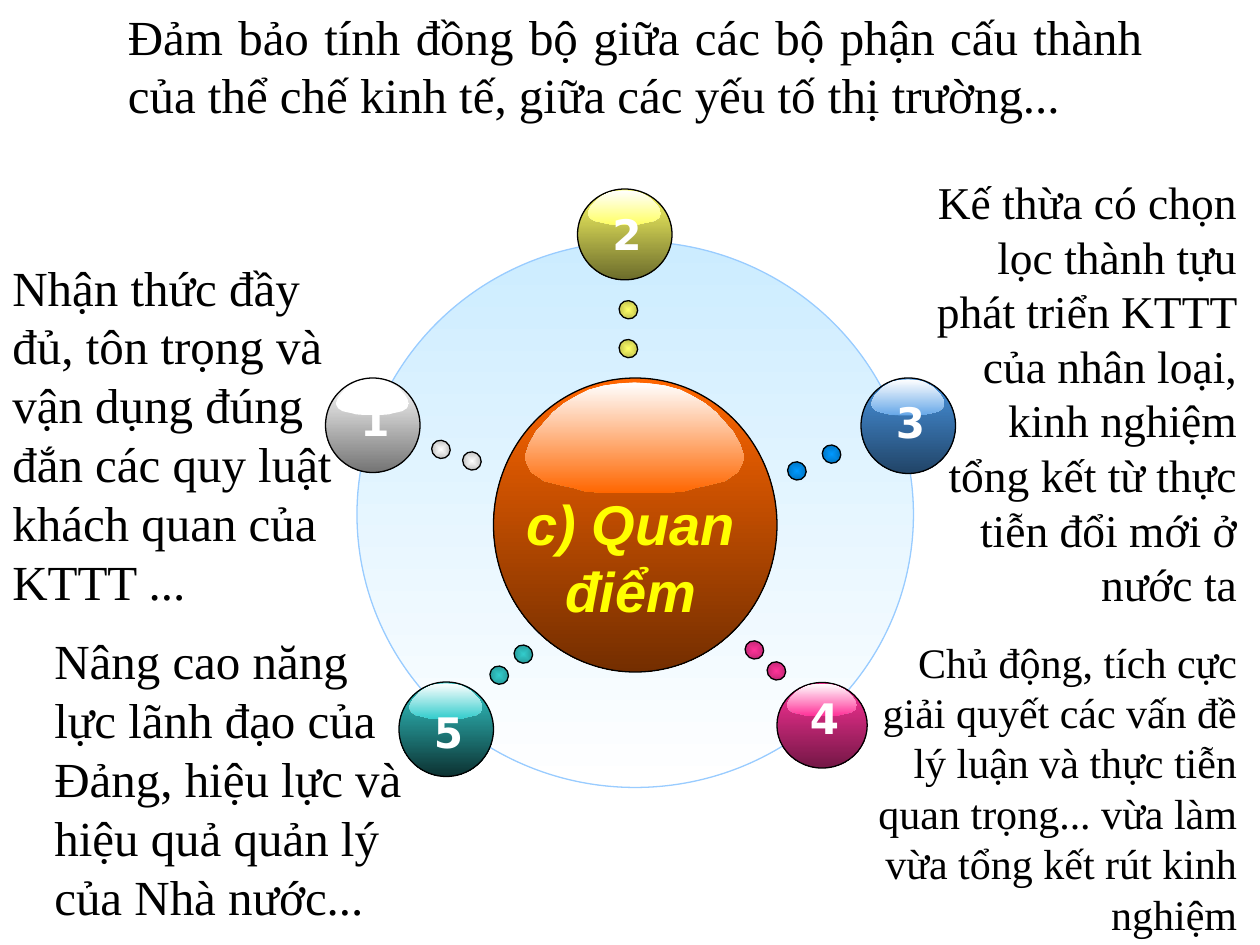
import pptx
import pptx.dml.color
import pptx.enum.shapes
import pptx.enum.text
import pptx.oxml
import pptx.oxml.ns
import pptx.util

COLS, ROWS = 120, 90
ALIGN = {
    "l": pptx.enum.text.PP_ALIGN.LEFT,
    "c": pptx.enum.text.PP_ALIGN.CENTER,
    "r": pptx.enum.text.PP_ALIGN.RIGHT,
    "j": pptx.enum.text.PP_ALIGN.JUSTIFY,
}
GLOSS_HALF = [
    (50, 0), (57, 1), (64, 3), (71, 7), (76, 12), (82, 19), (87, 27), (91, 36),
    (95, 45), (98, 56), (99, 62), (100, 67), (99, 73), (98, 77), (97, 81),
    (94, 85), (91, 89), (87, 91), (83, 93), (78, 95), (73, 98), (68, 99), (60, 100),
]
GLOSS = GLOSS_HALF + [(100 - x, y) for x, y in reversed(GLOSS_HALF[1:])]
RADIAL = (
    f'<a:path {pptx.oxml.ns.nsdecls("a")} path="rect">'
    '<a:fillToRect l="50000" t="50000" r="50000" b="50000"/></a:path>'
)


def color(value):
    """Turn a hex string into a colour."""
    return pptx.dml.color.RGBColor.from_string(value)


def write(tf, text, size=28, font="Times New Roman", fill="000000",
          align="l", bold=False, italic=False):
    """Write text into a frame, one paragraph per line."""
    for i, line in enumerate(text.split("\n")):
        p = tf.paragraphs[0] if i == 0 else tf.add_paragraph()
        p.alignment = ALIGN[align]
        r = p.add_run()
        r.text = line
        r.font.name = font
        r.font.size = pptx.util.Pt(size)
        r.font.bold = bold
        r.font.italic = italic
        r.font.color.rgb = color(fill)


class Diagram:
    """Holds the grid, the line style and the current slide."""

    def __init__(self, prs):
        """Add a blank slide and measure its grid."""
        self.s = prs.slides.add_slide(prs.slide_layouts[6])
        self.col = prs.slide_width / COLS
        self.row = prs.slide_height / ROWS
        self.line_width = pptx.util.Pt(0.75)

    def box(self, x, y, w, h):
        """Convert columns and rows to lengths."""
        return (round(x * self.col), round(y * self.row),
                round(w * self.col), round(h * self.row))

    def paint(self, sp, start, end, line=None, radial=False):
        """Give a shape its gradient and outline."""
        sp.shadow.inherit = False
        sp.fill.gradient()
        for stop, value in zip(sp.fill.gradient_stops, (start, end)):
            stop.color.rgb = color(value)
        sp.fill.gradient_angle = 270
        if radial:
            lin = next(sp.element.iter(pptx.oxml.ns.qn("a:lin")))
            lin.getparent().replace(lin, pptx.oxml.parse_xml(RADIAL))
        if line:
            sp.line.color.rgb = color(line)
            sp.line.width = self.line_width
        else:
            sp.line.fill.background()

    def ellipse(self, x, y, w, h, start, end, line="000000", radial=False):
        """Draw a gradient ellipse."""
        sp = self.s.shapes.add_shape(pptx.enum.shapes.MSO_SHAPE.OVAL, *self.box(x, y, w, h))
        self.paint(sp, start, end, line, radial)
        return sp

    def ball(self, x, y, w, h, start, end, shine):
        """Draw a ball with a gloss near its top."""
        self.ellipse(x, y, w, h, start, end)
        left, top, width, height = self.box(
            x + 0.11 * w, y + 0.015 * h, 0.775 * w, 0.377 * h)
        fb = self.s.shapes.build_freeform(*GLOSS[0], scale=(width / 100, height / 100))
        fb.add_line_segments(GLOSS[1:], close=True)
        self.paint(fb.convert_to_shape(left, top), "FFFFFF", shine)

    def dot(self, x, y, start, end):
        """Draw a small tilted dot."""
        self.ellipse(x, y, 1.7, 1.8, start, end, radial=True).rotation = 303.8

    def text(self, x, y, w, h, text, wrap=True, **style):
        """Place a text box."""
        tf = self.s.shapes.add_textbox(*self.box(x, y, w, h)).text_frame
        tf.word_wrap = wrap
        tf.auto_size = pptx.enum.text.MSO_AUTO_SIZE.SHAPE_TO_FIT_TEXT
        write(tf, text, **style)

    def number(self, x, y, w, label, drop):
        """Centre a number across a ball."""
        self.text(x + (w - 4.7) / 2, y + drop, 4.7, 6, label, wrap=False,
                  size=24, font="DejaVu Sans", fill="FFFFFF", bold=True)


BALLS = [
    ("2", (55, 18, 9, 8.65), "FFFF66", "6C6C2B", "FFFF66", 1.3),
    ("5", (38, 64.95, 9, 9), "33CCCC", "0C3232", "33CCCC", 1.7),
    ("3", (82, 36, 9, 9.1), "4996E3", "214467", "66A7E8", 1.2),
    ("4", (74, 65, 8.6, 8.15), "FF3399", "741746", "FF3399", 0.4),
    ("1", (31, 36, 9, 9), "FFFFFF", "747474", "FFFFFF", 1),
]
DOTS = [
    ("33CCCC", "228888", [(46.7, 63.4), (49, 61.4)]),
    ("FF3399", "AA2266", [(73.1, 63), (71, 61)]),
    ("FFFFFF", "AAAAAA", [(41.15, 41.9), (44.1, 43)]),
    ("FFFF66", "AAAA44", [(59, 28.6), (59, 32.3)]),
    ("0099FF", "0066AA", [(78.35, 42.35), (75.05, 43.95)]),
]
TEXTS = [
    ((0, 23.9, 34, 34.8), 28, "l",
     "Nhận thức đầy đủ, tôn trọng và vận dụng đúng đắn các quy luật khách quan của KTTT ..."),
    ((11, 0, 99, 12.5), 28, "j",
     "Đảm bảo tính đồng bộ giữa các bộ phận cấu thành của thể chế kinh tế, "
     "giữa các yếu tố thị trường..."),
    ((87, 16, 32, 42.8), 26, "r",
     "Kế thừa có chọn lọc thành tựu phát triển KTTT của nhân loại, kinh nghiệm "
     "tổng kết từ thực tiễn đổi mới ở nước ta"),
    ((4, 59.5, 36, 29.3), 28, "l",
     "Nâng cao năng lực lãnh đạo của Đảng, hiệu lực và hiệu quả quản lý của Nhà nước..."),
    ((82, 60, 37, 30), 24, "r",
     "Chủ động, tích cực giải quyết các vấn đề lý luận và thực tiễn quan trọng... "
     "vừa làm vừa tổng kết rút kinh nghiệm"),
]


def main():
    """Build the slide and save it."""
    prs = pptx.Presentation()
    prs.slide_width = pptx.util.Inches(10)
    prs.slide_height = pptx.util.Inches(7.5)
    d = Diagram(prs)
    d.ellipse(34, 23, 53, 52, "CCECFF", "FFFFFF", line="99CCFF")
    d.ball(47, 36, 27, 28, "FF6600", "742E00", "FF6600")
    d.text(48.1, 46, 24, 14, "c) Quan\nđiểm", wrap=False, size=32, font="Arial",
           fill="FFFF00", align="c", bold=True, italic=True)
    for label, (x, y, w, h), start, end, shine, drop in BALLS:
        d.ball(x, y, w, h, start, end, shine)
        d.number(x, y, w, label, drop)
    for start, end, places in DOTS:
        for x, y in places:
            d.dot(x, y, start, end)
    for place, size, align, text in TEXTS:
        d.text(*place, text, size=size, align=align)
    prs.save("out.pptx")


if __name__ == "__main__":
    main()
